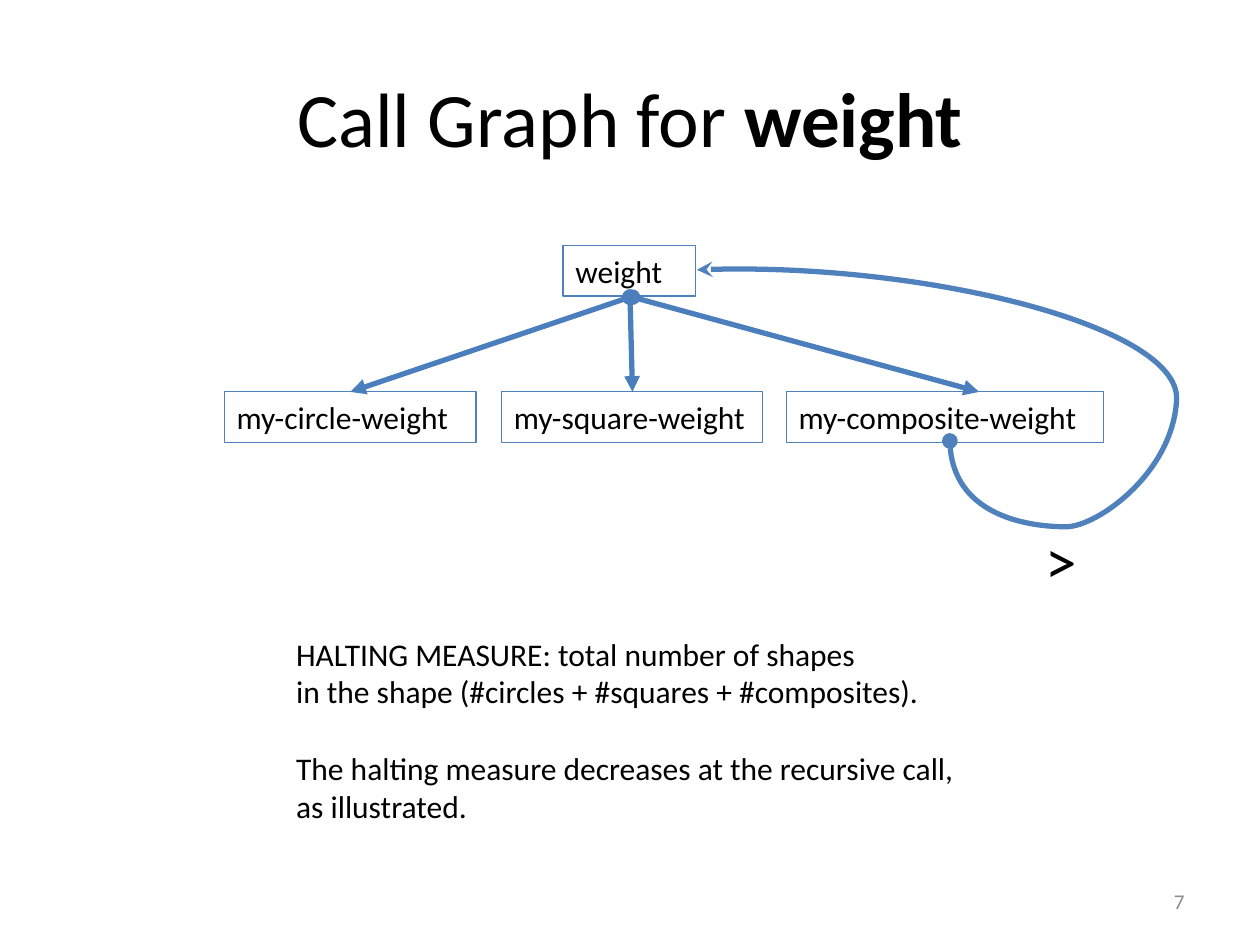
import lxml.etree
import pptx
import pptx.dml.color
import pptx.enum.shapes
import pptx.enum.text
import pptx.oxml.ns
import pptx.util

Cm = pptx.util.Cm
Pt = pptx.util.Pt
qn = pptx.oxml.ns.qn
Align = pptx.enum.text.PP_ALIGN
Anchor = pptx.enum.text.MSO_ANCHOR


def paint(code):
    return pptx.dml.color.RGBColor.from_string(code)


def write(frame, lines, size=18, ink="000000", align=Align.LEFT,
          anchor=Anchor.TOP, wrap=True, gaps=None):
    """Fill a frame; a line is a list of (text, bold), gaps maps line to space before."""
    frame.word_wrap = wrap
    frame.vertical_anchor = anchor
    for i, line in enumerate(lines):
        para = frame.paragraphs[0] if i == 0 else frame.add_paragraph()
        para.alignment = align
        if gaps and i in gaps:
            para.space_before = Pt(gaps[i])
        for text, bold in line:
            run = para.add_run()
            run.text = text
            run.font.name = "Calibri"
            run.font.size = Pt(size)
            run.font.bold = bold
            run.font.color.rgb = paint(ink)


class Deck:
    edge = "4F81BD"
    link = "4B7EBC"

    def __init__(self):
        self.file = pptx.Presentation()
        self.file.slide_width = Cm(25.4)
        self.file.slide_height = Cm(19.05)
        self.slide = self.file.slides.add_slide(self.file.slide_layouts[5])
        self.shapes = self.slide.shapes

    def title(self, line, x, y, w, h):
        head = self.shapes.title
        head.left, head.top, head.width, head.height = map(Cm, (x, y, w, h))
        write(head.text_frame, [line], size=44, align=Align.CENTER,
              anchor=Anchor.MIDDLE)

    def text(self, lines, x, y, w, h, **style):
        box = self.shapes.add_textbox(*map(Cm, (x, y, w, h)))
        write(box.text_frame, [[(line, False)] for line in lines], **style)

    def node(self, name, x, y, w, h=1.02):
        kind = pptx.enum.shapes.MSO_SHAPE.RECTANGLE
        box = self.shapes.add_shape(kind, *map(Cm, (x, y, w, h)))
        box.shadow.inherit = False
        box.fill.background()
        box.line.color.rgb = paint(self.edge)
        box.line.width = Pt(0.75)
        write(box.text_frame, [[(name, False)]])

    def stroke(self, line, ink, tip):
        """Style a call line: dot at the caller, tip at the callee."""
        line.color.rgb = paint(ink)
        line.width = Pt(3)
        ln = line._get_or_add_ln()
        for tag, kind in (("a:headEnd", "oval"), ("a:tailEnd", tip)):
            lxml.etree.SubElement(ln, qn(tag), type=kind)

    def arrow(self, start, end):
        kind = pptx.enum.shapes.MSO_CONNECTOR.STRAIGHT
        wire = self.shapes.add_connector(kind, *map(Cm, start + end))
        self.stroke(wire.line, self.link, "triangle")
        lxml.etree.SubElement(wire._element.spPr, qn("a:effectLst"))

    def curve(self, start, points):
        """Draw Bezier pieces, each given by three points."""
        pen = self.shapes.build_freeform(Cm(start[0]), Cm(start[1]))
        pen.add_line_segments([(Cm(x), Cm(y)) for x, y in points], close=False)
        loop = pen.convert_to_shape()
        trace = next(loop._element.iter(qn("a:path")))
        steps = trace.findall(qn("a:lnTo"))
        for i in range(0, len(steps), 3):
            bend = lxml.etree.SubElement(trace, qn("a:cubicBezTo"))
            for step in steps[i:i + 3]:
                bend.append(step[0])
                trace.remove(step)
        loop.shadow.inherit = False
        loop.fill.background()
        self.stroke(loop.line, self.edge, "stealth")


def main():
    deck = Deck()
    deck.title([("Call Graph for ", False), ("weight", True)],
               1.27, 0.76, 22.86, 3.18)
    deck.text(["7"], 18.21, 17.65, 5.92, 1.02, size=12, ink="8C8C8C",
              align=Align.RIGHT, anchor=Anchor.MIDDLE)

    row = 7.9
    deck.node("weight", 11.35, 4.95, 2.67)
    for name, x, w in (("my-circle-weight", 4.52, 5.08),
                       ("my-square-weight", 10.11, 5.26),
                       ("my-composite-weight", 15.85, 6.4)):
        deck.node(name, x, row, w)

    for x, end in ((12.7, 7.06), (12.7, 12.75), (12.75, 19.74)):
        deck.arrow((x, 5.99), (end, row))
    deck.curve((19.15, 8.89), [
        (19.18, 10.44), (20.83, 10.62), (21.49, 10.62),
        (22.12, 10.62), (23.65, 9.53), (23.72, 8.05),
        (23.77, 6.58), (18.49, 5.26), (14.05, 5.44)])

    deck.text([">"], 20.83, 10.39, 1.19, 1.8, size=36)
    deck.text(["HALTING MEASURE: total number of shapes",
               "in the shape (#circles + #squares + #composites).",
               "The halting measure decreases at the recursive call,",
               "as illustrated."],
              5.72, 12.67, 13.94, 4.11, wrap=False, gaps={2: 22})
    deck.file.save("out.pptx")


if __name__ == "__main__":
    main()
